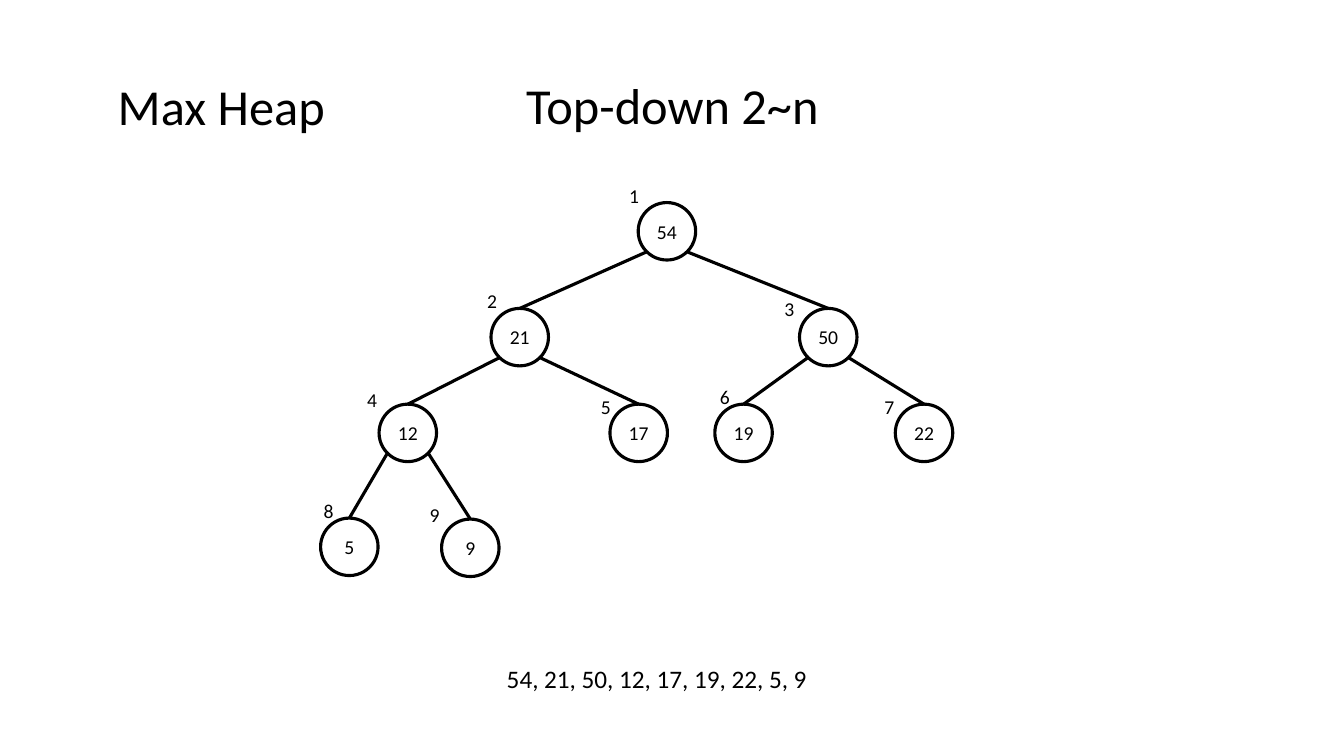
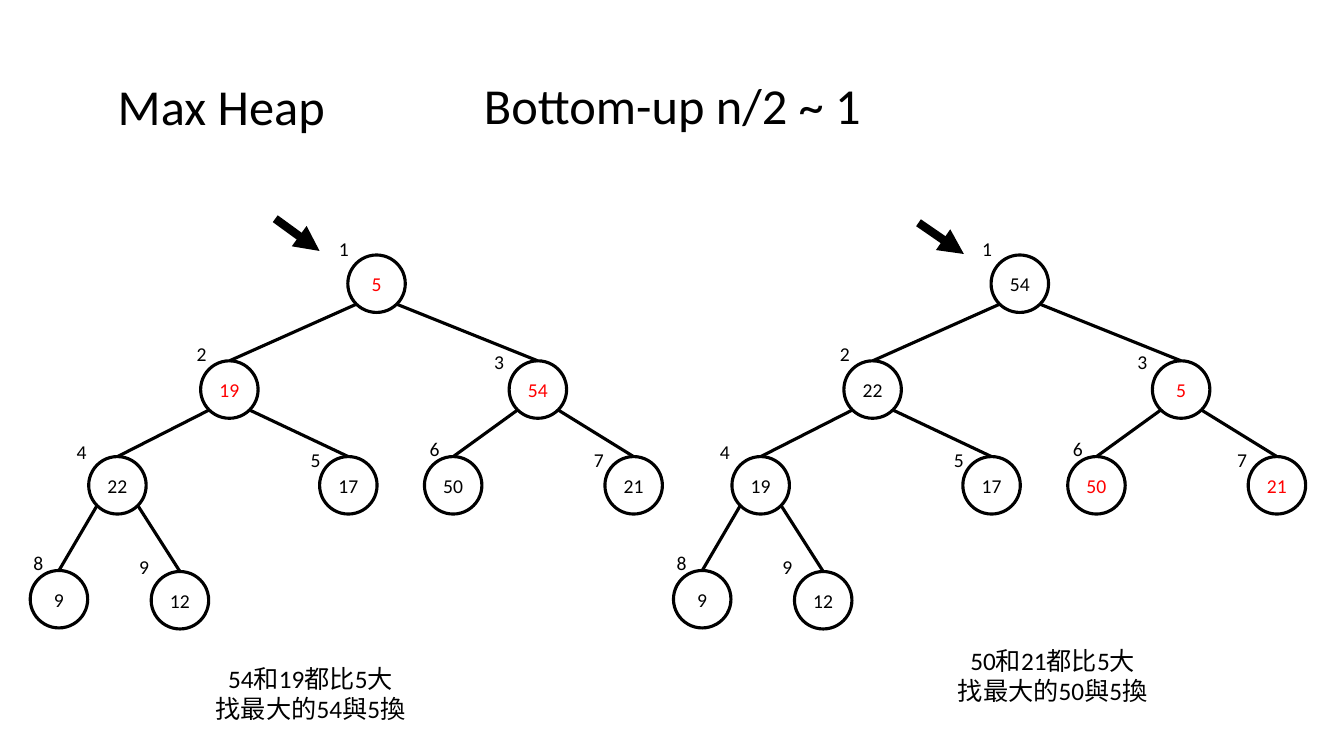
"""Builds two slides that compare top-down and bottom-up max heap construction."""
from lxml import etree
from pptx import Presentation
from pptx.dml.color import RGBColor
from pptx.enum.shapes import MSO_CONNECTOR, MSO_SHAPE
from pptx.enum.text import MSO_ANCHOR, MSO_AUTO_SIZE, PP_ALIGN
from pptx.oxml.ns import qn
from pptx.util import Emu, Pt

ELLIPSE = MSO_SHAPE.OVAL
STRAIGHT = MSO_CONNECTOR.STRAIGHT
CENTER = PP_ALIGN.CENTER
TOP, MIDDLE = MSO_ANCHOR.TOP, MSO_ANCHOR.MIDDLE
FIT_SHAPE, NO_FIT = MSO_AUTO_SIZE.SHAPE_TO_FIT_TEXT, MSO_AUTO_SIZE.NONE

EMU_PER_PX = 9144
TITLE_ONLY = 5
BLACK, RED = "000000", "FF0000"
NODE_SIZE = 57
BRANCH_NEAR, BRANCH_FAR = 8, 49
TOP_SITE = 0

NODE_OFFSETS = [(0, 0), (-146, 105), (160, 105), (-257, 200), (-28, 200),
                (76, 200), (255, 200), (-315, 313), (-195, 314)]
INDEX_OFFSETS = [(-33, -23), (-28, -24), (-39, -16), (-36, -21), (-33, -14),
                 (-19, -24), (-35, -14), (-21, -24), (-36, -21)]


def px(length):
    """Convert whole px to EMU."""
    return Emu(length * EMU_PER_PX)


def color(value):
    """Convert a hex string to a colour."""
    return RGBColor.from_string(value)


class HeapDeck:
    """Holds the shared style, the presentation and the current slide."""

    font = "Calibri"
    title_size, caption_size, node_size = 36, 18, 14
    edge_width, pointer_width = 2.25, 6

    def __init__(self):
        """Start a wide presentation."""
        self.presentation = Presentation()
        self.presentation.slide_width = px(1333)
        self.presentation.slide_height = px(750)
        self.slide = None

    def set_text(self, shape, text, size, text_color=BLACK, anchor=TOP, fit=FIT_SHAPE):
        """Fill a shape with centred text."""
        frame = shape.text_frame
        frame.text = text
        frame.word_wrap = True
        frame.auto_size = fit
        frame.vertical_anchor = anchor
        for paragraph in frame.paragraphs:
            paragraph.alignment = CENTER
            for run in paragraph.runs:
                run.font.name = self.font
                run.font.size = Pt(size)
                run.font.color.rgb = color(text_color)

    def add_slide(self, method):
        """Add a slide with the common title and the name of the method."""
        layout = self.presentation.slide_layouts[TITLE_ONLY]
        self.slide = self.presentation.slides.add_slide(layout)
        title = self.slide.shapes.title
        title.left, title.top, title.width, title.height = map(px, (50, 69, 339, 71))
        self.set_text(title, "Max Heap", self.title_size)
        self.add_text(self.slide.shapes, (351, 69, 632, 71), method, self.title_size)

    def add_text(self, shapes, box, text, size):
        """Add a text box."""
        self.set_text(shapes.add_textbox(*map(px, box)), text, size)

    def add_caption(self, box, text):
        """Add a caption to the slide."""
        self.add_text(self.slide.shapes, box, text, self.caption_size)

    def add_line(self, shapes, start, end, width):
        """Add a straight black line."""
        connector = shapes.add_connector(STRAIGHT, *map(px, start + end))
        connector.line.color.rgb = color(BLACK)
        connector.line.width = Pt(width)
        etree.SubElement(connector._element.spPr, qn("a:effectLst"))
        return connector

    def add_pointer(self, start, end):
        """Add a thick arrow towards a node."""
        connector = self.add_line(self.slide.shapes, start, end, self.pointer_width)
        outline = connector._element.spPr.find(qn("a:ln"))
        etree.SubElement(outline, qn("a:tailEnd"), type="triangle")

    def add_node(self, shapes, left, top, value, text_color):
        """Add a circle that shows a value."""
        node = shapes.add_shape(ELLIPSE, *map(px, (left, top, NODE_SIZE, NODE_SIZE)))
        node.shadow.inherit = False
        node.fill.background()
        node.line.color.rgb = color(BLACK)
        node.line.width = Pt(self.edge_width)
        self.set_text(node, str(value), self.node_size, text_color, MIDDLE, NO_FIT)
        frame = node.text_frame
        frame.margin_left = frame.margin_right = 0
        frame.margin_top = frame.margin_bottom = 0
        return node

    def add_heap(self, left, top, values, red_values=()):
        """Add a grouped tree whose root circle starts at left, top."""
        shapes = self.slide.shapes.add_group_shape().shapes
        corners = [(left + x, top + y) for x, y in NODE_OFFSETS]
        for index, value in enumerate(values, 1):
            x, y = corners[index - 1]
            text_color = RED if value in red_values else BLACK
            node = self.add_node(shapes, x, y, value, text_color)
            if index > 1:
                parent_x, parent_y = corners[index // 2 - 1]
                side = BRANCH_FAR if index % 2 else BRANCH_NEAR
                start = (parent_x + side, parent_y + BRANCH_FAR)
                edge = self.add_line(shapes, start, (x + NODE_SIZE // 2, y), self.edge_width)
                edge.end_connect(node, TOP_SITE)
            shift_x, shift_y = INDEX_OFFSETS[index - 1]
            self.add_text(shapes, (x + shift_x, y + shift_y, 58, 34), str(index), self.node_size)


def main():
    """Build and save the slides."""
    deck = HeapDeck()

    deck.add_slide("Top-down 2~n")
    values = [54, 21, 50, 12, 17, 19, 22, 5, 9]
    deck.add_heap(633, 201, values)
    deck.add_caption((172, 653, 959, 40), ", ".join(map(str, values)))

    deck.add_slide("Bottom-up n/2 ~ 1")
    deck.add_heap(345, 253, [5, 19, 54, 22, 17, 50, 21, 9, 12], (5, 19, 54))
    deck.add_pointer((273, 217), (317, 249))
    deck.add_caption((172, 653, 272, 71), "54和19都比5大\n找最大的54與5換")
    deck.add_heap(983, 253, [54, 22, 5, 19, 17, 50, 21, 9, 12], (5, 50, 21))
    deck.add_pointer((911, 221), (956, 252))
    deck.add_caption((908, 635, 272, 71), "50和21都比5大\n找最大的50與5換")

    deck.presentation.save("out.pptx")


if __name__ == "__main__":
    main()
